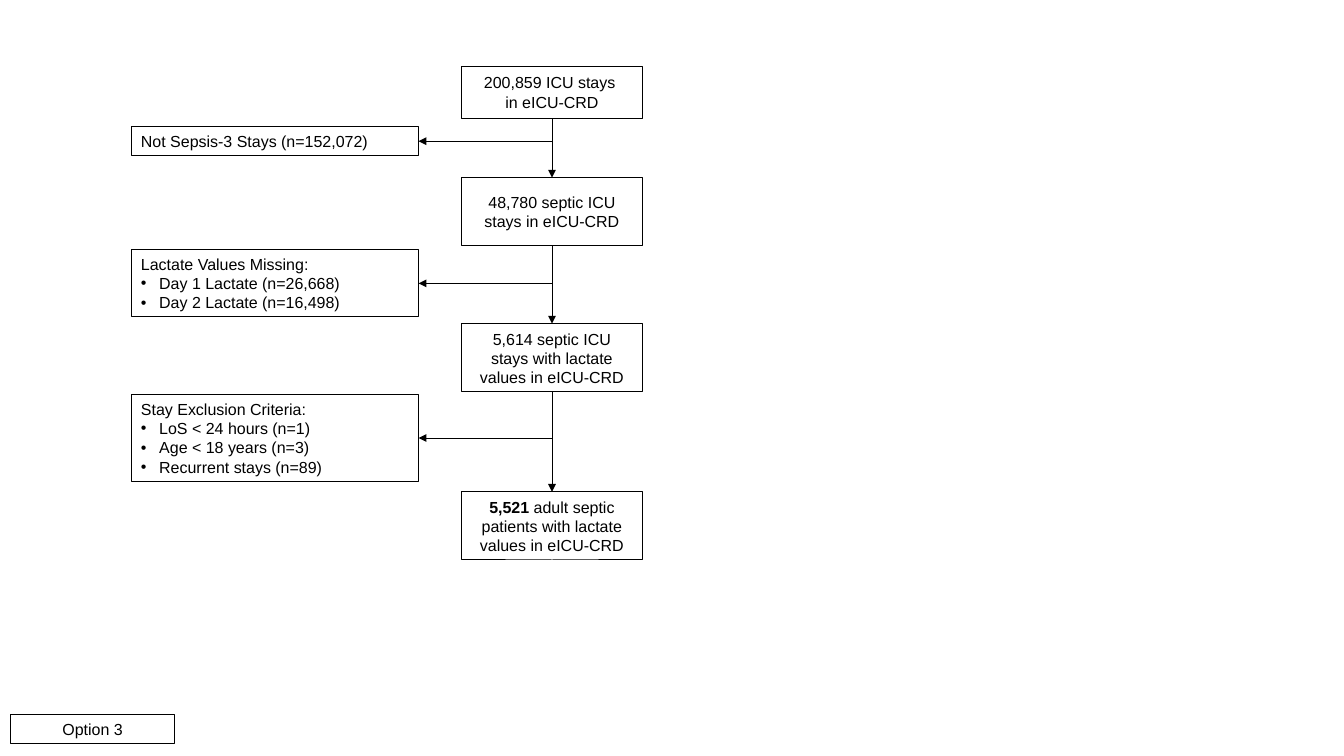
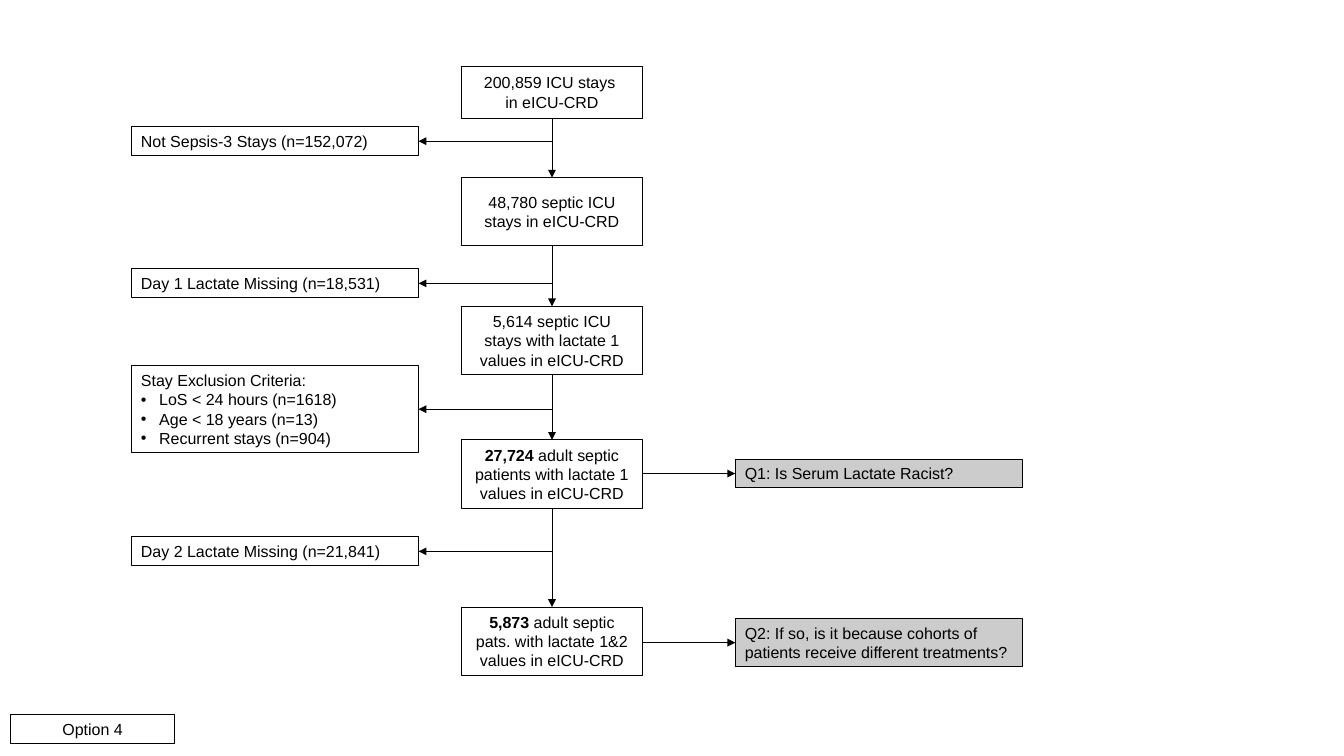
"""Build two patient-selection flowcharts."""
from copy import deepcopy

from lxml import etree
from pptx import Presentation
from pptx.dml.color import RGBColor
from pptx.enum.shapes import MSO_CONNECTOR, MSO_SHAPE
from pptx.enum.text import MSO_ANCHOR, PP_ALIGN
from pptx.oxml.ns import qn
from pptx.util import Inches, Pt

BLACK = RGBColor(0x00, 0x00, 0x00)
GREY = RGBColor(0xCC, 0xCC, 0xCC)
RECTANGLE = MSO_SHAPE.RECTANGLE
STRAIGHT = MSO_CONNECTOR.STRAIGHT
MIDDLE = MSO_ANCHOR.MIDDLE
LEFT, CENTER = PP_ALIGN.LEFT, PP_ALIGN.CENTER

FONT, TEXT_SIZE, LINE_WIDTH = "Arial", Pt(12), Pt(0.75)
STEP_LEFT, STEP_WIDTH, STEP_HEIGHT = 4.81, 1.88, 0.71
STEP_CENTER = STEP_LEFT + STEP_WIDTH / 2
SIDE_WIDTH, EXCLUSION_LEFT, QUESTION_LEFT = 2.99, 1.37, 7.66
BULLET_INDENT = Inches(0.19)


class Flowchart:
    def __init__(self, presentation):
        self.presentation = presentation
        self.slide = None

    def start_slide(self, label):
        layout = self.presentation.slide_layouts[6]
        self.slide = self.presentation.slides.add_slide(layout)
        self.box(0.11, 7.44, 1.71, 0.3, label, CENTER)

    def box(self, left, top, width, height, text, alignment=LEFT, fill=None, bold_lead=""):
        shape = self.slide.shapes.add_shape(
            RECTANGLE, Inches(left), Inches(top), Inches(width), Inches(height))
        shape.shadow.inherit = False
        if fill is None:
            shape.fill.background()
        else:
            shape.fill.solid()
            shape.fill.fore_color.rgb = fill
        shape.line.color.rgb = BLACK
        shape.line.width = LINE_WIDTH
        text_frame = shape.text_frame
        text_frame.word_wrap = True
        text_frame.vertical_anchor = MIDDLE
        text_frame.text = text
        if bold_lead:
            self.add_bold_lead(text_frame.paragraphs[0], bold_lead)
        for paragraph in text_frame.paragraphs:
            paragraph.alignment = alignment
            for run in paragraph.runs:
                run.font.name = FONT
                run.font.size = TEXT_SIZE
                run.font.color.rgb = BLACK
            for line_break in paragraph._p.findall(qn("a:br")):
                etree.SubElement(line_break, qn("a:rPr"), sz=str(TEXT_SIZE.centipoints))
        return shape

    def add_bold_lead(self, paragraph, lead):
        first = paragraph.runs[0]._r
        first.addprevious(deepcopy(first))
        paragraph.runs[0].text = lead
        paragraph.runs[0].font.bold = True

    def arrow(self, start_x, start_y, end_x, end_y):
        connector = self.slide.shapes.add_connector(
            STRAIGHT, Inches(start_x), Inches(start_y), Inches(end_x), Inches(end_y))
        connector.line.color.rgb = BLACK
        connector.line.width = LINE_WIDTH
        etree.SubElement(connector.line._get_or_add_ln(), qn("a:tailEnd"), type="triangle")
        etree.SubElement(connector._element.spPr, qn("a:effectLst"))

    def steps(self, steps):
        previous_bottom = None
        for top, height, lead, text in steps:
            self.box(STEP_LEFT, top, STEP_WIDTH, height, text, CENTER, bold_lead=lead)
            if previous_bottom is not None:
                self.arrow(STEP_CENTER, previous_bottom, STEP_CENTER, top)
            previous_bottom = top + height

    def side_box(self, left, middle, text, line_count, fill=None):
        height = 0.1 + 0.2 * line_count
        return self.box(left, middle - height / 2, SIDE_WIDTH, height, text, fill=fill)

    def exclusion(self, middle, title, reasons=(), arrow_y=None):
        lines = [title, *reasons]
        shape = self.side_box(EXCLUSION_LEFT, middle, "\n".join(lines), len(lines))
        for paragraph in shape.text_frame.paragraphs[1:]:
            properties = paragraph._p.get_or_add_pPr()
            properties.set("marL", str(BULLET_INDENT))
            properties.set("indent", str(-BULLET_INDENT))
            etree.SubElement(properties, qn("a:buFont"), typeface=FONT)
            etree.SubElement(properties, qn("a:buChar"), char="•")
        arrow_y = arrow_y or middle
        self.arrow(STEP_CENTER, arrow_y, EXCLUSION_LEFT + SIDE_WIDTH, arrow_y)

    def question(self, middle, text, line_count):
        self.side_box(QUESTION_LEFT, middle, text, line_count, GREY)
        self.arrow(STEP_LEFT + STEP_WIDTH, middle, QUESTION_LEFT, middle)


FIRST_STEPS = [
    (0.69, 0.54, "", "200,859 ICU stays \nin eICU-CRD"),
    (1.85, STEP_HEIGHT, "", "48,780 septic ICU stays in eICU-CRD"),
]
NOT_SEPSIS = (1.47, "Not Sepsis-3 Stays (n=152,072)")


def stay_criteria(short, young, recurrent):
    return [f"LoS < 24 hours (n={short})", f"Age < 18 years (n={young})",
            f"Recurrent stays (n={recurrent})"]


presentation = Presentation()
presentation.slide_width, presentation.slide_height = Inches(14), Inches(7.87)
chart = Flowchart(presentation)

chart.start_slide("Option 3")
chart.steps(FIRST_STEPS + [
    (3.37, STEP_HEIGHT, "", "5,614 septic ICU\vstays with lactate\vvalues in eICU-CRD"),
    (5.12, STEP_HEIGHT, "5,521",
     " adult septic\vpatients with lactate\vvalues in eICU-CRD"),
])
chart.exclusion(*NOT_SEPSIS)
chart.exclusion(2.95, "Lactate Values Missing:",
                ["Day 1 Lactate (n=26,668)", "Day 2 Lactate (n=16,498)"])
chart.exclusion(4.56, "Stay Exclusion Criteria:", stay_criteria(1, 3, 89))

chart.start_slide("Option 4")
chart.steps(FIRST_STEPS + [
    (3.19, STEP_HEIGHT, "", "5,614 septic ICU\vstays with lactate 1\vvalues in eICU-CRD"),
    (4.58, STEP_HEIGHT, "27,724",
     " adult septic\vpatients with lactate 1\vvalues in eICU-CRD"),
    (6.32, STEP_HEIGHT, "5,873",
     " adult septic\vpats. with lactate 1&2\vvalues in eICU-CRD"),
])
chart.exclusion(*NOT_SEPSIS)
chart.exclusion(2.95, "Day 1 Lactate Missing (n=18,531)")
chart.exclusion(4.26, "Stay Exclusion Criteria:", stay_criteria(1618, 13, 904))
chart.exclusion(5.74, "Day 2 Lactate Missing (n=21,841)")
chart.question(4.93, "Q1: Is Serum Lactate Racist?", 1)
chart.question(
    6.69, "Q2: If so, is it because cohorts of patients receive different treatments?", 2)

presentation.save("out.pptx")
